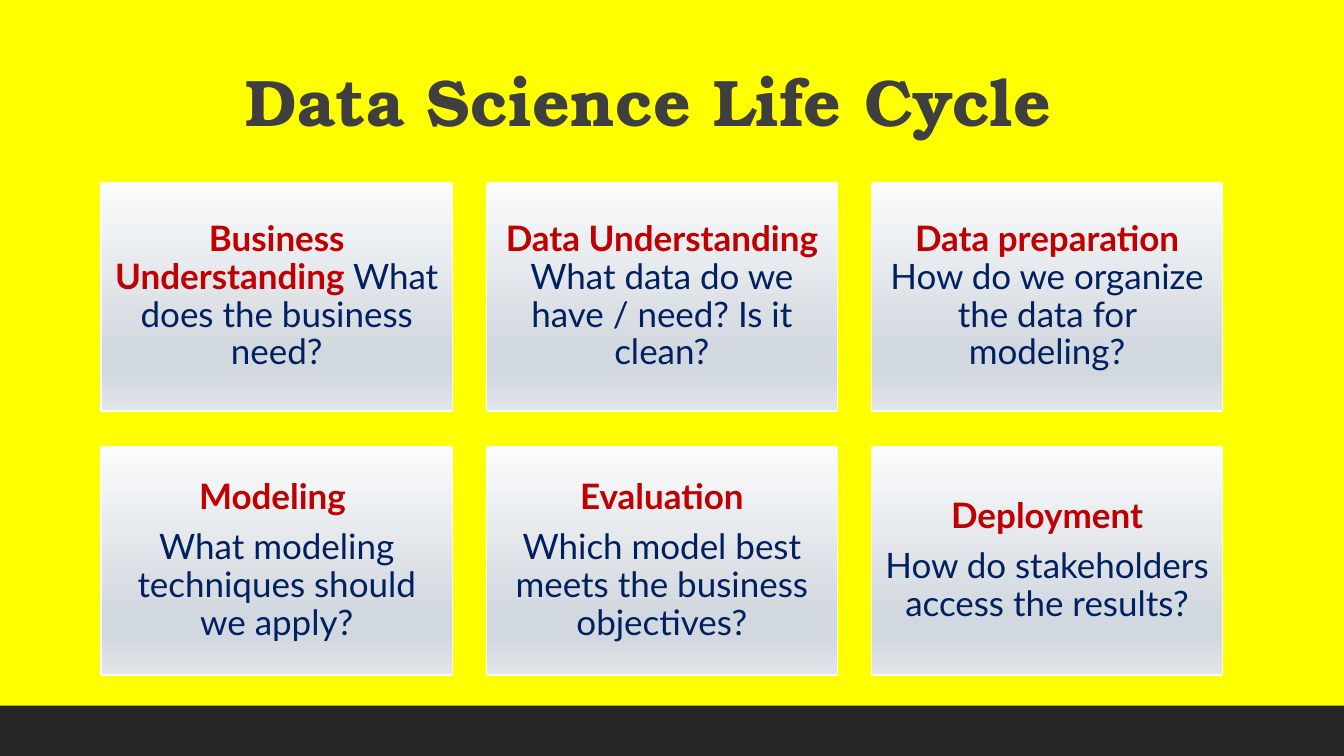
"""Build the Data Science Life Cycle slide: a title above six stage cards."""
from lxml import etree
from pptx import Presentation
from pptx import util as u
from pptx.dml import color
from pptx.enum import shapes, text
from pptx.oxml import ns

COLORS = {
    "background": "FFFF00",
    "footer": "262626",
    "title": "3F3F3F",
    "stage": "C00000",
    "question": "002060",
    "frame": "0C0C0C",
    "border": "FFFFFF",
}
CARD_GRADIENT = [(0, "FAFBFB"), (74, "D2D8DF"), (83, "D2D8DF"), (100, "E1E5E9")]
STAGES = [
    ("Business Understanding ", "What does the business need?"),
    ("Data Understanding ", "What data do we have / need? Is it clean?"),
    ("Data preparation ", "How do we organize the data for modeling?"),
    ("Modeling ", "What modeling techniques should we apply?"),
    ("Evaluation", "Which model best meets the business objectives?"),
    ("Deployment", "How do stakeholders access the results?"),
]
COLUMNS = 3
CARD_WIDTH, CARD_HEIGHT = 3.47, 2.25
COLUMN_STEP, ROW_STEP = 3.82, 2.62


def add_text(paragraph, words, tint, size=25, font="Lato", bold=False,
             align=text.PP_ALIGN.CENTER):
    """Append a formatted run to a paragraph."""
    paragraph.alignment = align
    paragraph.line_spacing = 0.9
    run = paragraph.add_run()
    run.text = words
    run.font.name = font
    run.font.size = u.Pt(size)
    run.font.bold = bold
    run.font.color.rgb = color.RGBColor.from_string(COLORS[tint])


def add_rectangle(left, top, width, height, tint):
    """Add a flat rectangle without an outline."""
    shape = slide.shapes.add_shape(
        shapes.MSO_SHAPE.RECTANGLE,
        u.Inches(left), u.Inches(top), u.Inches(width), u.Inches(height))
    shape.shadow.inherit = False
    shape.fill.solid()
    shape.fill.fore_color.rgb = color.RGBColor.from_string(COLORS[tint])
    shape.line.fill.background()
    return shape


presentation = Presentation()
presentation.slide_width = u.Inches(13.33)
presentation.slide_height = u.Inches(7.5)
slide = presentation.slides.add_slide(presentation.slide_layouts[6])
slide.background.fill.solid()
slide.background.fill.fore_color.rgb = color.RGBColor.from_string(COLORS["background"])

add_rectangle(0, 7, 13.33, 0.5, "footer")

title = slide.shapes.add_textbox(
    u.Inches(2.34), u.Inches(0.39), u.Inches(8.65), u.Inches(1.05))
title.text_frame.word_wrap = True
title.text_frame.vertical_anchor = text.MSO_ANCHOR.BOTTOM
add_text(title.text_frame.paragraphs[0], "Data Science Life Cycle", "title",
         size=47, font="TeX Gyre Bonum", bold=True, align=text.PP_ALIGN.LEFT)

for index, (stage, question) in enumerate(STAGES):
    row, column = divmod(index, COLUMNS)
    box = (1.01 + column * COLUMN_STEP, 1.82 + row * ROW_STEP, CARD_WIDTH, CARD_HEIGHT)
    border = add_rectangle(*box, "frame")
    border.line.color.rgb = color.RGBColor.from_string(COLORS["border"])
    border.line.width = u.Pt(2)

    card = add_rectangle(*box, "border")
    card.fill.gradient()
    card.fill.gradient_angle = 270
    stops = card.element.spPr.find(".//" + ns.qn("a:gsLst"))
    for stop in list(stops):
        stops.remove(stop)
    for position, tint in CARD_GRADIENT:
        stop = etree.SubElement(stops, ns.qn("a:gs"), pos=str(position * 1000))
        etree.SubElement(stop, ns.qn("a:srgbClr"), val=tint)

    frame = card.text_frame
    frame.word_wrap = True
    frame.vertical_anchor = text.MSO_ANCHOR.MIDDLE
    frame.margin_left = frame.margin_right = u.Inches(0.1)
    frame.margin_top = frame.margin_bottom = u.Inches(0.1)
    paragraph = frame.paragraphs[0]
    add_text(paragraph, stage, "stage", bold=True)
    if row > 0:
        paragraph = frame.add_paragraph()
        paragraph.space_before = u.Pt(8.8)
    add_text(paragraph, question, "question")

presentation.save("out.pptx")
